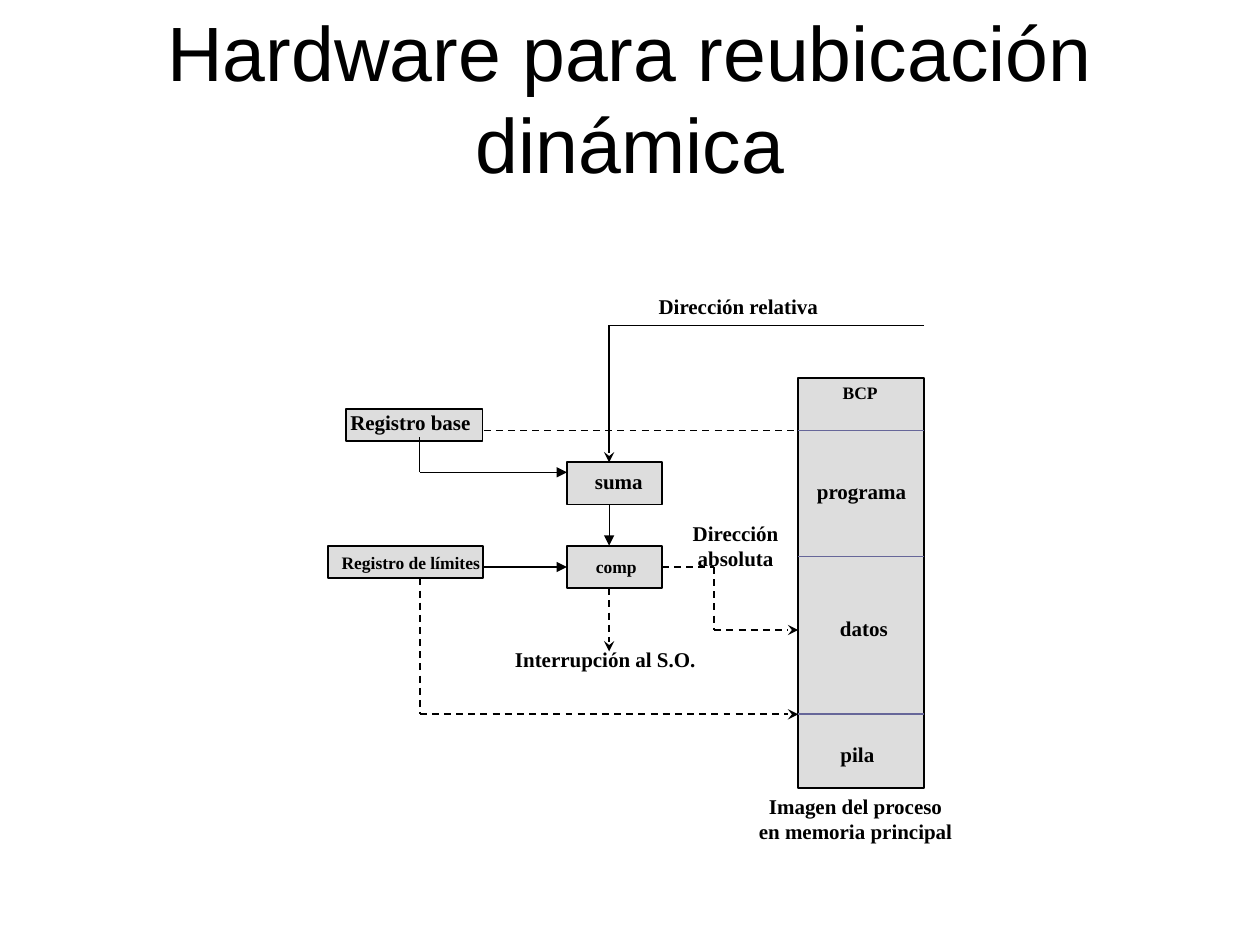
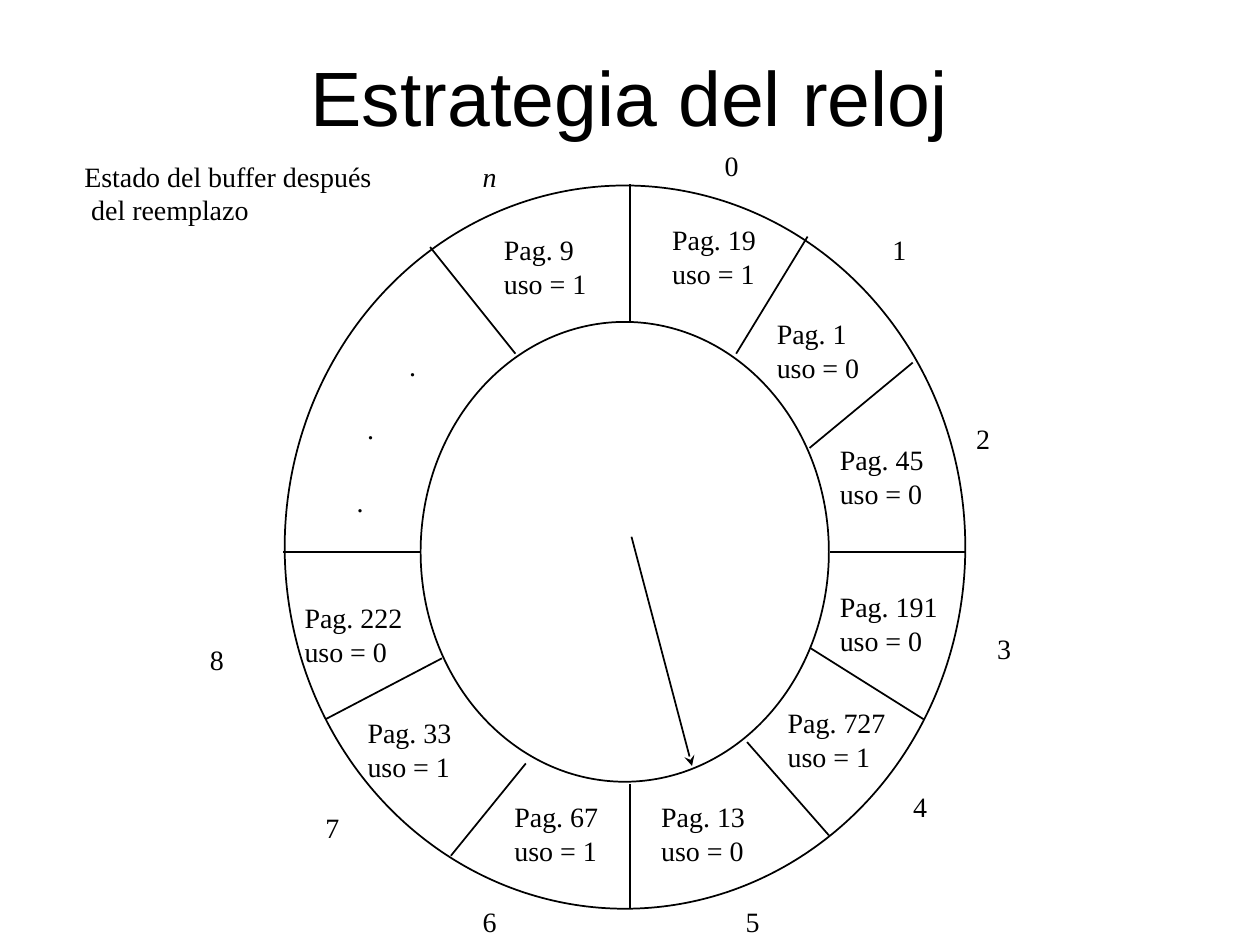
from lxml import etree
from pptx import Presentation
from pptx.dml.color import RGBColor
from pptx.enum import dml, shapes, text
from pptx.oxml import ns
from pptx.util import Cm, Pt

COLOURS = {"ink": "000000", "box": "DDDDDD", "divider": "666699"}
TITLE_FONT, BODY_FONT = "Arial", "Times New Roman"
CENTER, LEFT = text.PP_ALIGN.CENTER, text.PP_ALIGN.LEFT
RECTANGLE, OVAL = shapes.MSO_SHAPE.RECTANGLE, shapes.MSO_SHAPE.OVAL


def colour(name):
    return RGBColor.from_string(COLOURS[name])


class Deck:
    """Holds the presentation, the current slide and the label style."""

    def __init__(self):
        self.presentation = Presentation()
        self.presentation.slide_width = Cm(25.4)
        self.presentation.slide_height = Cm(19.05)
        self.slide = None
        self.size, self.bold, self.align = 12, False, LEFT

    def new_slide(self, title, box, anchor):
        layout = self.presentation.slide_layouts.get_by_name("Title Only")
        self.slide = self.presentation.slides.add_slide(layout)
        shape = self.slide.shapes.title
        shape.left, shape.top, shape.width, shape.height = map(Cm, box)
        frame = shape.text_frame
        frame.text = title
        frame.auto_size = text.MSO_AUTO_SIZE.NONE
        frame.word_wrap = True
        frame.vertical_anchor = anchor
        self.format_paragraph(frame.paragraphs[0], CENTER, TITLE_FONT, 44)

    def format_paragraph(self, paragraph, align, name, size, bold=False, italic=False):
        paragraph.alignment = align
        font = paragraph.font
        font.name, font.size = name, Pt(size)
        font.bold, font.italic = bold, italic
        font.color.rgb = colour("ink")

    def outline(self, kind, box, fill=None):
        shape = self.slide.shapes.add_shape(kind, *map(Cm, box))
        shape.shadow.inherit = False
        if fill:
            shape.fill.solid()
            shape.fill.fore_color.rgb = colour(fill)
        else:
            shape.fill.background()
        shape.line.color.rgb = colour("ink")
        shape.line.width = Pt(1)

    def line(self, start_x, start_y, end_x, end_y, head=None, dashed=False,
             ink="ink", width=1):
        connector = self.slide.shapes.add_connector(
            shapes.MSO_CONNECTOR.STRAIGHT, *map(Cm, (start_x, start_y, end_x, end_y)))
        connector.line.color.rgb = colour(ink)
        connector.line.width = Pt(width)
        if dashed:
            connector.line.dash_style = dml.MSO_LINE.DASH
        if head:
            line_xml = connector.line._get_or_add_ln()
            etree.SubElement(line_xml, ns.qn("a:tailEnd"), type=head)
        etree.SubElement(connector._element.spPr, ns.qn("a:effectLst"))

    def label(self, words, left, top, width, size=None, height=None, italic=False):
        """Add an unwrapped label, as high as its lines unless a height is given."""
        size = size or self.size
        lines = words.split("\n")
        height = height or 0.25 + len(lines) * size * 1.2 * 2.54 / 72
        box = self.slide.shapes.add_textbox(*map(Cm, (left, top, width, height)))
        frame = box.text_frame
        frame.text = words
        frame.word_wrap = False
        frame.auto_size = text.MSO_AUTO_SIZE.SHAPE_TO_FIT_TEXT
        for paragraph in frame.paragraphs:
            self.format_paragraph(paragraph, self.align, BODY_FONT, size, self.bold, italic)
        return frame


def build_relocation(deck):
    deck.new_slide("Hardware para reubicación dinámica",
                   (1.27, 0.76, 22.86, 3.18), text.MSO_ANCHOR.BOTTOM)
    deck.size, deck.bold, deck.align = 12, True, CENTER

    memory_left, memory_right = 16.09, 18.63
    adder_x, register_x, turn_x = 12.28, 8.46, 14.4
    registers_right, units_left = 9.75, 11.43
    program_top, data_top, stack_top = 8.68, 11.22, 14.4

    for box in (
        (6.98, 8.25, 2.75, 0.64),
        (6.62, 11.01, 3.12, 0.64),
        (units_left, 11.01, 1.91, 0.85),
        (units_left, 9.32, 1.91, 0.85),
        (memory_left, 7.62, 2.54, 8.26),
    ):
        deck.outline(RECTANGLE, box, "box")

    for start_x, start_y, end_x, end_y, head in (
        (register_x, 11.66, register_x, stack_top, None),
        (register_x, stack_top, memory_left, stack_top, "stealth"),
        (adder_x, 11.86, adder_x, 13.13, "stealth"),
        (13.34, 11.43, turn_x, 11.43, None),
        (turn_x, 11.43, turn_x, 12.7, None),
        (turn_x, 12.7, memory_left, 12.7, "stealth"),
        (registers_right, program_top, memory_left, program_top, None),
    ):
        deck.line(start_x, start_y, end_x, end_y, head, dashed=True)

    deck.line(memory_right, 6.56, adder_x, 6.56)
    deck.line(adder_x, 6.56, adder_x, 9.32, "stealth")
    for top in (program_top, data_top, stack_top):
        deck.line(memory_left, top, memory_right, top, ink="divider")

    for words, left, top, width, size in (
        ("Interrupción al S.O.", 10.12, 12.9, 4.17, 12),
        ("Imagen del proceso\nen memoria principal", 15.04, 15.87, 4.42, 12),
        ("Dirección relativa", 13.02, 5.8, 3.73, 12),
        ("Dirección\nabsoluta", 13.7, 10.37, 2.26, 12),
        ("BCP", 16.73, 7.57, 1.22, 10),
        ("programa", 16.2, 9.53, 2.34, 12),
        ("datos", 16.68, 12.28, 1.47, 12),
        ("pila", 16.69, 14.82, 1.19, 12),
        ("suma", 11.74, 9.32, 1.47, 12),
        ("comp", 11.75, 11.08, 1.35, 10),
        ("Registro base", 6.8, 8.13, 2.95, 12),
        ("Registro de límites", 6.63, 11, 3.3, 10),
    ):
        deck.label(words, left, top, width, size)

    for start_x, start_y, end_x, end_y, head in (
        (registers_right, 11.43, units_left, 11.43, "triangle"),
        (register_x, 9.52, units_left, 9.52, "triangle"),
        (register_x, 8.81, register_x, 9.52, None),
        (adder_x, 10.16, adder_x, 11, "triangle"),
    ):
        deck.line(start_x, start_y, end_x, end_y, head, width=0.75)


def build_clock(deck):
    deck.new_slide("Estrategia del reloj",
                   (1.9, 0.33, 21.59, 3.18), text.MSO_ANCHOR.MIDDLE)
    deck.size, deck.bold, deck.align = 16, False, LEFT

    caption = deck.label("Estado del buffer después\ndel reemplazo",
                         1.45, 3.09, 6.32, height=2.29)
    caption.paragraphs[1]._p.get_or_add_pPr().set("marL", str(Cm(0.14)))

    deck.outline(OVAL, (5.74, 3.74, 13.72, 14.58))
    deck.outline(OVAL, (8.48, 6.49, 8.23, 9.27))

    for spoke in (
        (12.7, 6.5, 12.7, 3.71),
        (14.84, 7.13, 16.28, 4.77),
        (16.32, 9.03, 18.4, 7.31),
        (16.74, 11.13, 19.46, 11.13),
        (16.33, 13.06, 18.62, 14.5),
        (15.06, 14.96, 16.71, 16.84),
        (12.7, 15.8, 12.7, 18.31),
        (10.6, 15.39, 9.09, 17.25),
        (8.91, 13.27, 6.56, 14.5),
        (8.48, 11.13, 5.71, 11.13),
        (10.39, 7.13, 8.67, 4.98),
    ):
        deck.line(*spoke)

    for number, number_left, number_top, page, use, left, top in (
        ("0", 14.36, 2.87, 19, 1, 13.3, 4.36),
        ("1", 17.74, 4.57, 1, 0, 15.41, 6.26),
        ("2", 19.43, 8.38, 45, 0, 16.68, 8.8),
        ("3", 19.85, 12.61, 191, 0, 16.68, 11.76),
        ("4", 18.16, 15.79, 727, 1, 15.63, 14.1),
        ("5", 14.78, 18.11, 13, 0, 13.08, 16),
        ("6", 9.48, 18.11, 67, 1, 10.12, 16),
        ("7", 6.31, 16.21, 33, 1, 7.16, 14.3),
        ("8", 3.98, 12.82, 222, 0, 5.89, 11.99),
        ("n", 9.48, 3.1, 9, 1, 9.91, 4.57),
    ):
        deck.label(number, number_left, number_top, 0.79, italic=number == "n")
        deck.label(f"Pag. {page}\nuso = {use}", left, top, 2.5 if page > 99 else 2.22)

    for left, top in ((8, 6.91), (7.15, 8.18), (6.94, 9.65)):
        deck.label(".", left, top, 0.64)

    deck.line(12.73, 10.82, 13.95, 15.44, "stealth")


def main():
    deck = Deck()
    build_relocation(deck)
    build_clock(deck)
    deck.presentation.save("out.pptx")


if __name__ == "__main__":
    main()
